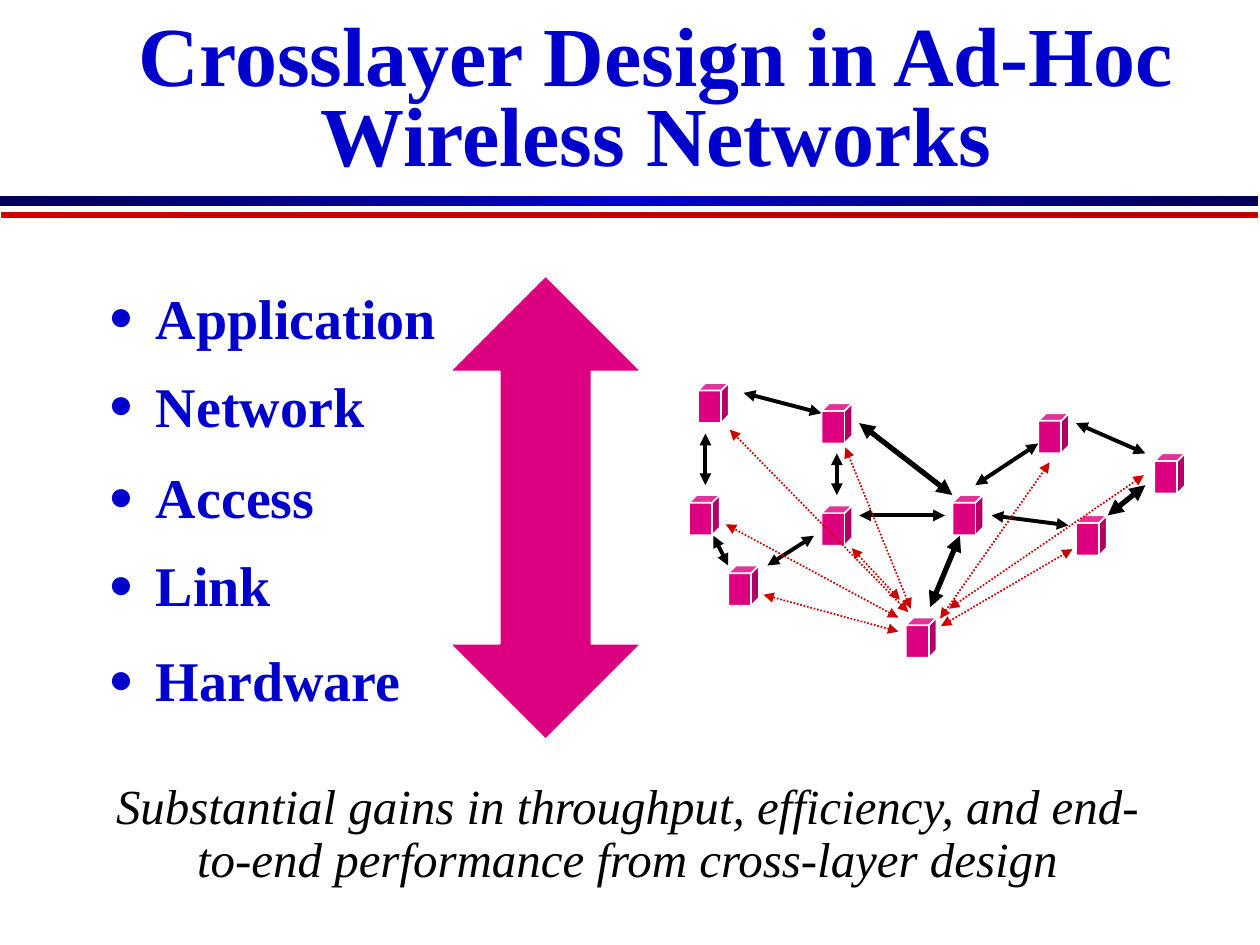
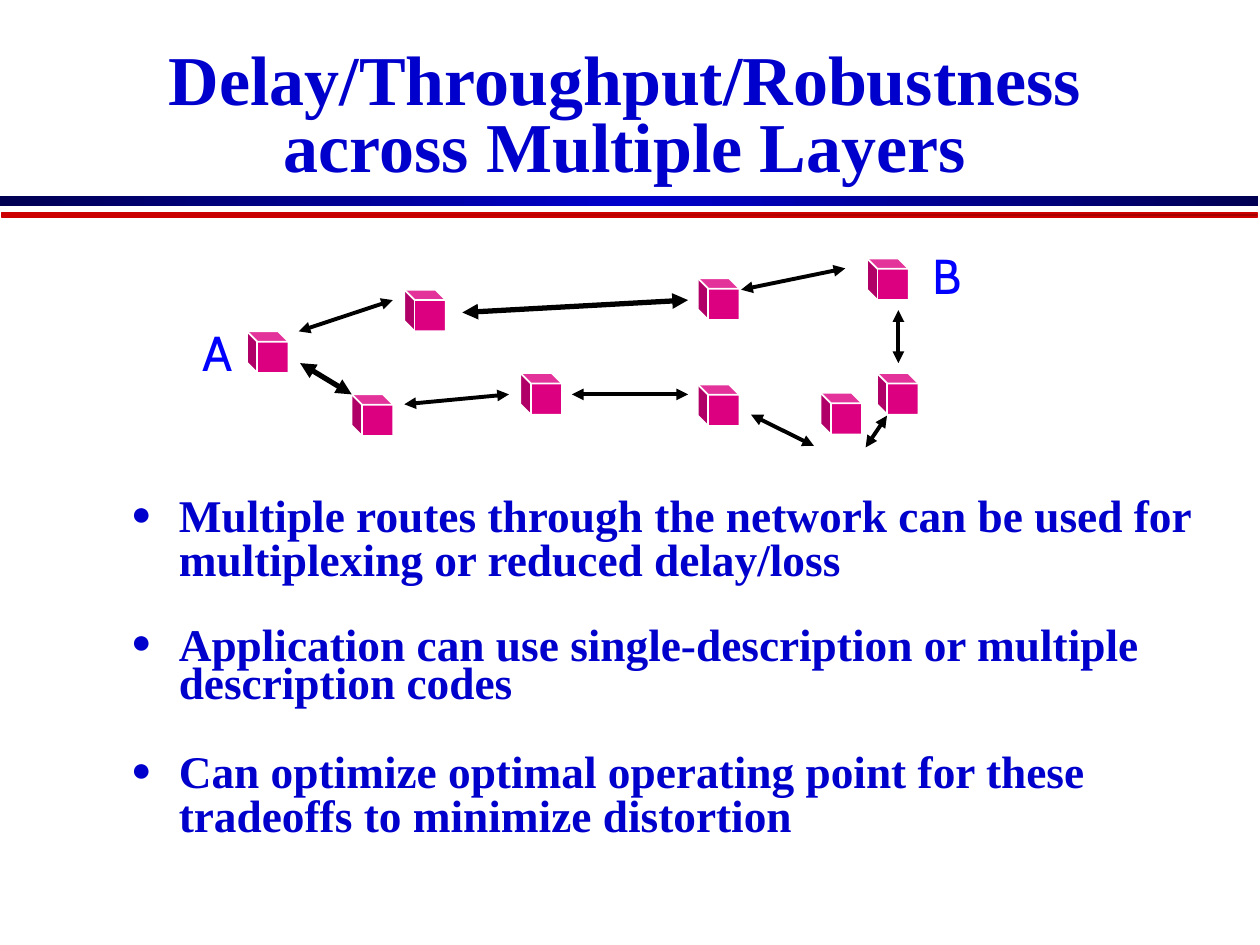
"""Build two slides on crosslayer design in ad-hoc wireless networks."""
from dataclasses import dataclass
from lxml.etree import SubElement
from pptx import Presentation
from pptx.dml.color import RGBColor as RGB
from pptx.enum.dml import MSO_LINE
from pptx.enum.shapes import MSO_CONNECTOR, MSO_SHAPE as SHAPE
from pptx.enum.text import MSO_ANCHOR, MSO_AUTO_SIZE as FIT, PP_ALIGN as ALIGN
from pptx.oxml.ns import qn
from pptx.util import Cm, Pt


@dataclass(frozen=True)
class Theme:
    serif: str = "Times New Roman"
    sans: str = "Cabin"
    blue: str = "0000CC"
    navy: str = "000052"
    red: str = "CC0000"
    dark_red: str = "A30000"
    magenta: str = "DC0081"
    white: str = "FFFFFF"
    black: str = "000000"
    ink: str = "030102"
    label_blue: str = "0000FF"
    layer_size: float = 32
    point_size: float = 25.9
    caption_size: float = 28
    label_size: float = 28
    thin: float = 2.25
    thick: float = 3


theme = Theme()


def style_text(paragraph, font_name, size, color, bold=False, italic=False):
    for run in paragraph.runs:
        font = run.font
        font.name, font.size, font.bold, font.italic = font_name, Pt(size), bold, italic
        font.color.rgb = RGB.from_string(color)


def draw_network(shapes, nodes, node_size, links, mirrored=False):
    for left, top in nodes:
        node = shapes.add_shape(SHAPE.CUBE, Cm(left), Cm(top), *map(Cm, node_size))
        node.shadow.inherit = False
        node.fill.solid()
        node.fill.fore_color.rgb = RGB.from_string(theme.magenta)
        node.line.color.rgb = RGB.from_string(theme.white)
        node.line.width = Pt(1)
        if mirrored:
            node._element.spPr.get_or_add_xfrm().set("flipH", "1")
    for ends, width, color, dash in links:
        link = shapes.add_connector(MSO_CONNECTOR.STRAIGHT, *map(Cm, ends))
        link.line.width = Pt(width)
        link.line.color.rgb = RGB.from_string(color)
        if dash:
            link.line.dash_style = dash
        outline = link.line._get_or_add_ln()
        for end in ("a:headEnd", "a:tailEnd"):
            SubElement(outline, qn(end), type="triangle")
        SubElement(link._element.spPr, qn("a:effectLst"))


deck = Presentation()
deck.slide_width, deck.slide_height = Cm(25.4), Cm(19.05)
layout = deck.slide_layouts[1]

pages = [
    ("Crosslayer Design in Ad-Hoc Wireless Networks", 48, (1.7, 0.64, 23.06, 3.18),
     (1.93, 5.31, 19.63, 12.14), theme.layer_size,
     [("Application", 1.2, 8), ("Network", 1.1, 8), ("Access", 1.0, 14),
      ("Link", 1.1, 8), ("Hardware", 1.2, 8)]),
    ("Delay/Throughput/Robustness across Multiple Layers", 40, (1.7, 0.69, 21.79, 3.18),
     (2.39, 9.91, 22.28, 8.61), theme.point_size,
     [("Multiple routes through the network can be used for multiplexing or reduced delay/loss", 0.8, 7),
      ("Application can use single-description or multiple description codes", 0.7, 26.5),
      ("Can optimize optimal operating point for these tradeoffs to minimize distortion", 0.8, 26.5)]),
]
for heading, heading_size, heading_box, list_box, list_size, points in pages:
    slide = deck.slides.add_slide(layout)
    title, body = slide.shapes.title, slide.placeholders[1]
    for holder, box in ((title, heading_box), (body, list_box)):
        holder.left, holder.top, holder.width, holder.height = map(Cm, box)
        holder.text_frame.word_wrap = True
        holder.text_frame.auto_size = FIT.NONE
    title.text_frame.text = heading
    title.text_frame.vertical_anchor = MSO_ANCHOR.BOTTOM
    heading_line = title.text_frame.paragraphs[0]
    heading_line.alignment = ALIGN.CENTER
    heading_line.line_spacing = 0.8
    style_text(heading_line, theme.serif, heading_size, theme.blue, bold=True)

    body.text_frame.text = "\n".join(text for text, _, _ in points)
    for point, (_, spacing, before) in zip(body.text_frame.paragraphs, points):
        point.line_spacing = spacing
        point.space_before = Pt(before)
        style_text(point, theme.serif, list_size, theme.blue, bold=True)
        layout_props = point._p.get_or_add_pPr()
        layout_props.set("marL", str(Cm(0.96)))
        layout_props.set("indent", str(-Cm(0.96)))
        SubElement(SubElement(layout_props, qn("a:buClr")), qn("a:srgbClr"), val=theme.blue)
        SubElement(layout_props, qn("a:buSzPct"), val="75000")
        SubElement(layout_props, qn("a:buFont"), typeface=theme.serif)
        SubElement(layout_props, qn("a:buChar"), char="●")

crosslayer, routes = deck.slides

bands = [
    ((0, 3.96, 25.37, 0.2), [(0, theme.navy), (50, theme.blue), (100, theme.navy)], None),
    ((0.03, 4.29, 25.32, 0.08), [(0, theme.red), (100, theme.dark_red)], theme.red),
]
for box, stops, edge in bands:
    band = crosslayer.shapes.add_shape(SHAPE.RECTANGLE, *map(Cm, box))
    band.shadow.inherit = False
    band.fill.gradient()
    band.fill.gradient_angle = 0
    stop_list = next(band._element.spPr.iter(qn("a:gsLst")))
    for stop in list(stop_list):
        stop_list.remove(stop)
    for percent, color in stops:
        stop = SubElement(stop_list, qn("a:gs"), pos=str(percent * 1000))
        SubElement(stop, qn("a:srgbClr"), val=color)
    if edge:
        band.line.color.rgb = RGB.from_string(edge)
        band.line.width = Pt(1)
    else:
        band.line.fill.background()
    deck.slide_master.shapes._spTree.append(band._element)

span = crosslayer.shapes.add_shape(SHAPE.UP_DOWN_ARROW, Cm(9.07), Cm(5.56), Cm(3.86), Cm(9.35))
span.shadow.inherit = False
span.adjustments[0], span.adjustments[1] = 0.5, 0.48
span.fill.solid()
span.fill.fore_color.rgb = RGB.from_string(theme.magenta)
span.line.color.rgb = RGB.from_string(theme.white)
span.line.width = Pt(1)

caption = crosslayer.shapes.add_textbox(Cm(1.6), Cm(15.65), Cm(22.1), Cm(3.45)).text_frame
caption.word_wrap = True
caption.text = ("Substantial gains in throughput, efficiency, and end-to-end "
                "performance from cross-layer design")
claim = caption.paragraphs[0]
claim.alignment = ALIGN.CENTER
claim.line_spacing = 0.9
claim.space_before = Pt(17.5)
style_text(claim, theme.serif, theme.caption_size, theme.ink, italic=True)

mesh_nodes = [
    (13.89, 9.98), (14.07, 7.72), (18.26, 12.45), (21.69, 10.39), (16.56, 10.19),
    (20.93, 8.33), (23.27, 9.14), (16.56, 8.13), (19.2, 9.98), (14.68, 11.4),
]
mesh_thin = [
    (14.22, 8.74, 14.22, 9.78), (14.38, 10.8, 14.68, 11.4), (15.47, 11.4, 16.41, 10.8),
    (14.99, 7.92, 16.56, 8.33), (16.87, 9.14, 16.87, 9.98), (17.32, 10.39, 19.05, 10.39),
    (19.66, 9.78, 20.93, 8.94), (21.69, 8.53, 23.09, 9.14), (19.99, 10.39, 21.54, 10.59),
]
mesh_thick = [
    (17.32, 8.53, 19.2, 9.98), (18.75, 12.24, 19.35, 10.8), (22.33, 10.39, 23.09, 9.78),
]
mesh_dotted = [
    (18.11, 12.73, 15.39, 11.99), (18.11, 12.45, 14.63, 10.57), (18.31, 12.34, 14.71, 8.66),
    (18.36, 12.27, 17.04, 9.02), (18.14, 12.09, 17.17, 11.05), (18.95, 12.47, 21.16, 9.32),
    (18.97, 12.62, 21.62, 11.07), (19.13, 12.27, 23.06, 9.58),
]
mesh_links = [(ends, theme.thin, theme.black, None) for ends in mesh_thin]
mesh_links += [(ends, theme.thick, theme.black, None) for ends in mesh_thick]
mesh_links += [(ends, 1, theme.red, MSO_LINE.ROUND_DOT) for ends in mesh_dotted]
mesh = crosslayer.shapes.add_group_shape()
draw_network(mesh.shapes, mesh_nodes, (0.62, 0.81), mesh_links)

route_nodes = [
    (17.68, 7.52), (17.48, 5.21), (7.09, 7.95), (14.07, 7.75), (8.15, 5.84),
    (4.98, 6.68), (14.07, 5.61), (10.49, 7.52), (16.54, 7.92),
]
route_thin = [
    (18.11, 6.25, 18.11, 7.32), (17.88, 8.38, 17.45, 9.02), (16.41, 8.99, 15.14, 8.36),
    (17.04, 5.41, 14.94, 5.84), (13.87, 7.95, 11.53, 7.95), (7.92, 6.05, 6.02, 6.68),
    (10.26, 7.95, 8.15, 8.15),
]
route_thick = [(13.87, 6.05, 9.32, 6.3), (7.09, 7.95, 6.05, 7.32)]
route_links = [(ends, theme.thin, theme.black, None) for ends in route_thin]
route_links += [(ends, theme.thick, theme.black, None) for ends in route_thick]
draw_network(routes.shapes, route_nodes, (0.84, 0.84), route_links, mirrored=True)

for endpoint, left, top in (("A", 3.81, 6.38), ("B", 18.52, 4.83)):
    label = routes.shapes.add_textbox(Cm(left), Cm(top), Cm(1.14), Cm(1.45)).text_frame
    label.word_wrap = False
    label.text = endpoint
    label.paragraphs[0].alignment = ALIGN.CENTER
    style_text(label.paragraphs[0], theme.sans, theme.label_size, theme.label_blue)

deck.save("out.pptx")
